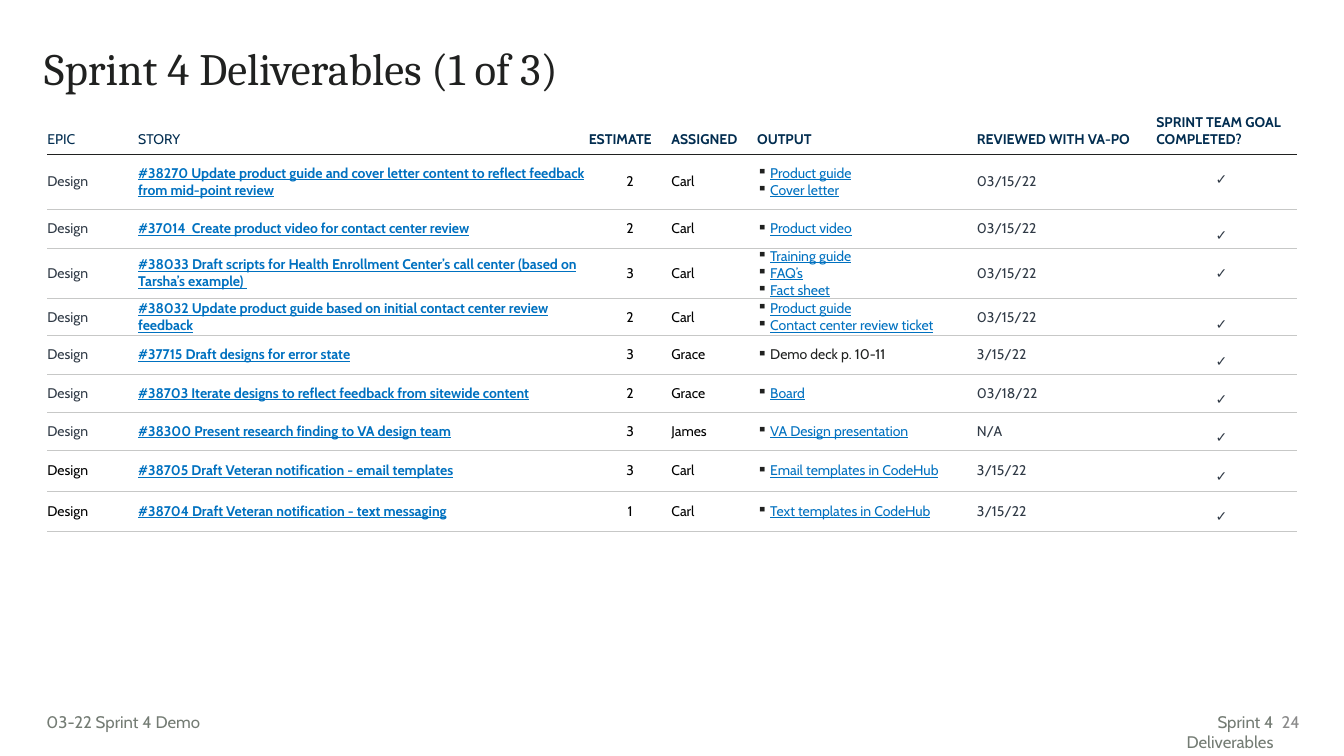
from lxml.etree import SubElement
from pptx import Presentation
from pptx.dml.color import RGBColor
from pptx.enum.text import MSO_ANCHOR, PP_ALIGN
from pptx.oxml.ns import qn
from pptx.util import Pt

PX = 9144
INK, NAVY, SLATE, BLUE = "202120", "022D50", "303A46", "0071C0"
BLACK, GREY, PALE, RULE = "000000", "747C74", "8A8A8A", "C7C8C7"
LEFT, MID, RIGHT = PP_ALIGN.LEFT, PP_ALIGN.CENTER, PP_ALIGN.RIGHT
TOP, CORE = MSO_ANCHOR.TOP, MSO_ANCHOR.MIDDLE

COLS = [90, 447, 82, 85, 218, 168, 149]
ROWS = [40, 55, 38, 38, 37, 38, 38, 38, 40, 40]
HEADS = ["EPIC", "STORY", "ESTIMATE", "ASSIGNED", "OUTPUT",
         "REVIEWED WITH VA-PO", "SPRINT TEAM GOAL COMPLETED?"]
TASKS = [
    ("#38270 Update product guide and cover letter content to reflect feedback from mid-point review",
     "2", "Carl", ["Product guide", "Cover letter"], "03/15/22"),
    ("#37014  Create product video for contact center review",
     "2", "Carl", ["Product video"], "03/15/22"),
    ("#38033 Draft scripts for Health Enrollment Center’s call center (based on Tarsha’s example) ",
     "3", "Carl", ["Training guide", "FAQ’s", "Fact sheet"], "03/15/22"),
    ("#38032 Update product guide based on initial contact center review feedback",
     "2", "Carl", ["Product guide", "Contact center review ticket"], "03/15/22"),
    ("#37715 Draft designs for error state",
     "3", "Grace", ["Demo deck p. 10-11"], "3/15/22"),
    ("#38703 Iterate designs to reflect feedback from sitewide content",
     "2", "Grace", ["Board"], "03/18/22"),
    ("#38300 Present research finding to VA design team",
     "3", "James", ["VA Design presentation"], "N/A"),
    ("#38705 Draft Veteran notification - email templates",
     "3", "Carl", ["Email templates in CodeHub"], "3/15/22"),
    ("#38704 Draft Veteran notification - text messaging",
     "1", "Carl", ["Text templates in CodeHub"], "3/15/22"),
]


def put(item, vals):
    """Set each named value on an object."""
    for key, val in vals.items():
        setattr(item, key, val)


def tint(code):
    """Turn a hex string into a colour."""
    return RGBColor.from_string(code)


def inset(item, sides, anchor):
    """Set the left, top, right and bottom margins and the anchor."""
    names = ("margin_left", "margin_top", "margin_right", "margin_bottom")
    put(item, {name: side * PX for name, side in zip(names, sides)})
    item.vertical_anchor = anchor


def bullet(para):
    """Give a paragraph a square bullet with a hanging indent."""
    props = para._p.get_or_add_pPr()
    props.set("marL", str(13 * PX))
    props.set("indent", str(-13 * PX))
    SubElement(SubElement(props, qn("a:buClr")), qn("a:srgbClr"), val=INK)
    SubElement(props, qn("a:buChar"), char="▪")


def write(frame, lines, color, size=10, face="Cabin", align=LEFT, dots=False, **style):
    """Fill a text frame with one paragraph per line."""
    frame.word_wrap = True
    for at, line in enumerate(lines):
        para = frame.add_paragraph() if at else frame.paragraphs[0]
        if dots:
            bullet(para)
        para.alignment = align
        run = para.add_run()
        run.text = line
        put(run.font, {"name": face, "size": Pt(size), **style})
        run.font.color.rgb = tint(color)


def label(slide, spot, text, color, sides=(10, 5, 10, 5), anchor=TOP, **style):
    """Place a text box."""
    frame = slide.shapes.add_textbox(*(n * PX for n in spot)).text_frame
    inset(frame, sides, anchor)
    write(frame, [text], color, **style)
    return frame


def edge(cell, side, color=None, width=0.5):
    """Draw or clear one border of a cell."""
    line = SubElement(cell._tc.get_or_add_tcPr(), qn("a:ln" + side), w=str(Pt(width)))
    if color:
        SubElement(SubElement(line, qn("a:solidFill")), qn("a:srgbClr"), val=color)
    else:
        SubElement(line, qn("a:noFill"))


def frame_cell(cell, row):
    """Rule a cell above and below and clear its fill."""
    rule, dark = (RULE, 0.5), (INK, 1)
    edge(cell, "L")
    edge(cell, "R")
    edge(cell, "T", *((None,), dark, rule)[min(row, 2)])
    edge(cell, "B", *(rule if row else dark))
    cell.fill.background()


def head(cells):
    """Write the header row."""
    for col, (cell, text) in enumerate(zip(cells, HEADS)):
        last = col == len(HEADS) - 1
        inset(cell, (10, 0, 10, 0) if last else (0, 10, 0 if col > 3 else 10, 0),
              TOP if last else CORE)
        write(cell.text_frame, [text], NAVY, bold=col > 1)


def task(cells, row, story, points, owner, output, date):
    """Write one row of work."""
    link = {"color": BLUE, "underline": True}
    parts = [
        (["Design"], {"color": BLACK if row > 7 else SLATE}),
        ([story], {**link, "bold": True}),
        ([points], {"color": BLACK, "align": MID}),
        ([owner], {"color": BLACK}),
        (output, {**({"color": INK} if "Demo" in output[0] else link), "dots": True}),
        ([date], {"color": SLATE}),
        (["✓"], {"color": SLATE, "align": MID}),
    ]
    for col, (cell, (lines, style)) in enumerate(zip(cells, parts)):
        tick = col == len(parts) - 1
        inset(cell, (0, 17 if tick else 0, 40 if col in (0, 3) else 0, 0),
              TOP if tick else CORE)
        write(cell.text_frame, lines, **style)


def grid(slide):
    """Build the table of deliverables."""
    spot = (47, 113, sum(COLS), sum(ROWS))
    table = slide.shapes.add_table(len(ROWS), len(COLS), *(n * PX for n in spot)).table
    put(table, {"first_row": False, "horz_banding": False})
    for col, width in zip(table.columns, COLS):
        col.width = width * PX
    for at, (row, height) in enumerate(zip(table.rows, ROWS)):
        row.height = height * PX
        cells = list(row.cells)
        for cell in cells:
            frame_cell(cell, at)
        if at:
            task(cells, at, *TASKS[at - 1])
        else:
            head(cells)


def main():
    """Build the slide and save it."""
    deck = Presentation()
    put(deck, {"slide_width": 1333 * PX, "slide_height": 750 * PX})
    slide = deck.slides.add_slide(deck.slide_layouts[6])
    title = label(slide, (34, 41, 1242, 82), "Sprint 4 Deliverables (1 of 3)", INK,
                  size=32, face="Cambria")
    title.paragraphs[0].line_spacing = 0.9
    label(slide, (1255, 696, 44, 40), "24", PALE, anchor=CORE, size=12, align=RIGHT)
    grid(slide)
    label(slide, (1109, 701, 164, 30), "Sprint 4 Deliverables", GREY, size=12, align=RIGHT)
    label(slide, (46, 701, 298, 30), "03-22 Sprint 4 Demo", GREY, (0, 5, 10, 5), size=12)
    deck.save("out.pptx")


if __name__ == "__main__":
    main()
